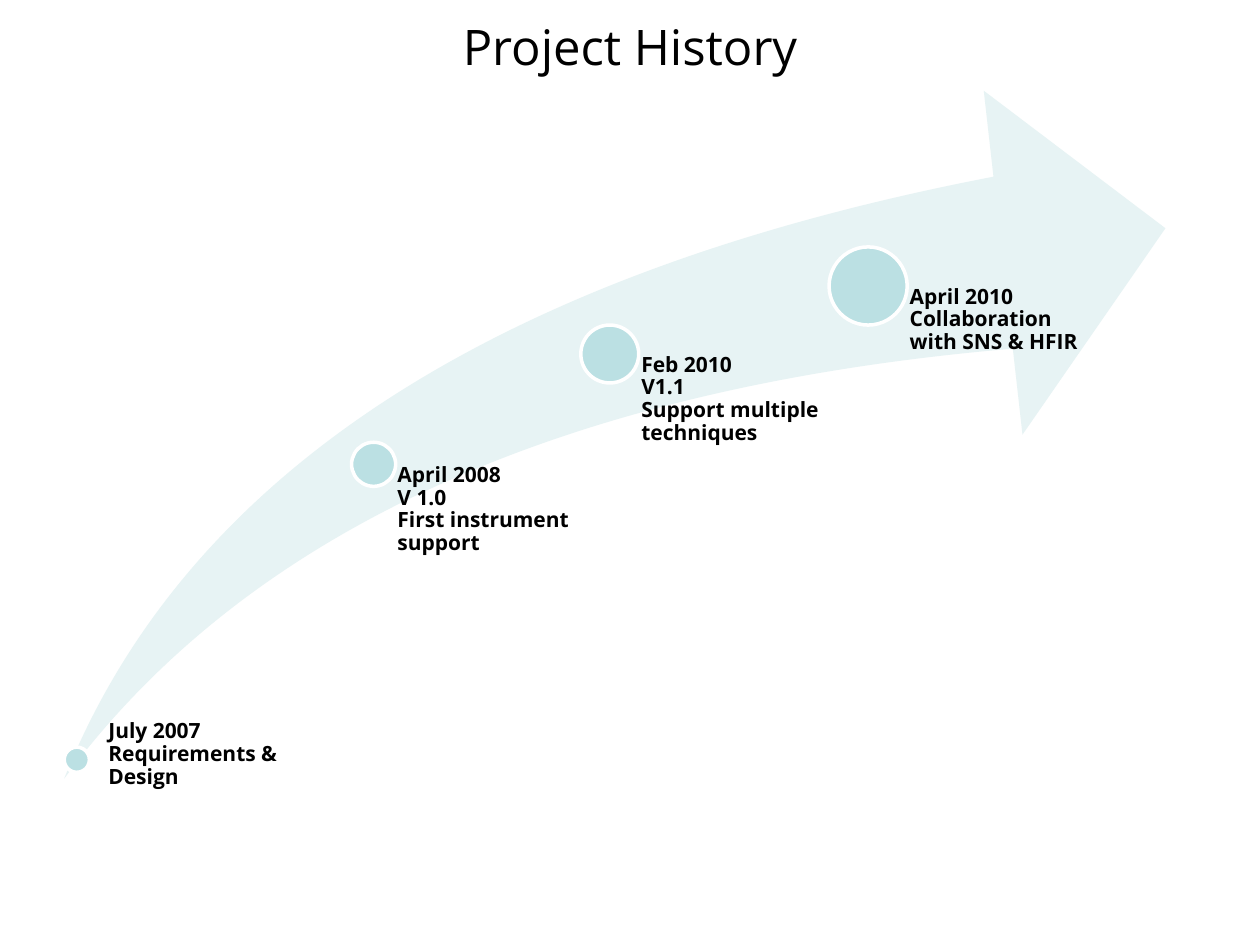
import pptx
import pptx.util
import pptx.dml.color
import pptx.enum.shapes
import pptx.enum.text

COLUMNS, ROWS = 100, 75
CELL = pptx.util.Inches(0.1)
FONT = "Open Sans"
BASELINE_ROW = 61.9

# Each milestone: dot centre column and row, dot diameter, label inset, text
MILESTONES = [
    (29.65, 36.85, 3.5, 1.9, "April 2008\vV 1.0\vFirst instrument support"),
    (48.4, 28.1, 4.6, 2.5, "Feb 2010\vV1.1\vSupport multiple techniques"),
    (68.9, 22.7, 6.2, 3.3, "April 2010\vCollaboration with SNS & HFIR"),
]


def cells(*counts):
    """Turn counts of grid cells into lengths."""
    return [round(count * CELL) for count in counts]


def color(value):
    """Turn a hex string into a colour."""
    return pptx.dml.color.RGBColor.from_string(value)


def write(tf, text, size=12, bold=False, align=None, spacing=None, after=None, inset=None):
    """Fill a text frame with one formatted, top-anchored paragraph."""
    tf.word_wrap = True
    tf.auto_size = pptx.enum.text.MSO_AUTO_SIZE.NONE
    tf.vertical_anchor = pptx.enum.text.MSO_ANCHOR.TOP
    if inset is not None:
        tf.margin_left = cells(inset)[0]
        tf.margin_top = tf.margin_right = tf.margin_bottom = 0
    p = tf.paragraphs[0]
    p.text = text
    p.alignment, p.line_spacing, p.space_after = align, spacing, after
    for r in p.runs:
        r.font.name, r.font.size, r.font.bold = FONT, pptx.util.Pt(size), bold
        r.font.color.rgb = color("000000")


def add_title(s, text):
    """Place the slide title across the top."""
    sp = s.shapes.title
    sp.left, sp.top, sp.width, sp.height = cells(5, 0.8, COLUMNS - 10, 12.5)
    write(sp.text_frame, text, size=28, align=pptx.enum.text.PP_ALIGN.CENTER)


def add_filled(s, kind, box, fill, line=None):
    """Add a preset shape with a plain fill and an optional outline."""
    sp = s.shapes.add_shape(kind, *cells(*box))
    sp.shadow.inherit = False
    sp.fill.solid()
    sp.fill.fore_color.rgb = color(fill)
    if line:
        sp.line.color.rgb = color(line)
        sp.line.width = pptx.util.Pt(2)
    else:
        sp.line.fill.background()
    return sp


def add_dot(s, x, y, diameter):
    """Add a milestone dot around its centre."""
    box = (x - diameter / 2, y - diameter / 2, diameter, diameter)
    add_filled(s, pptx.enum.shapes.MSO_SHAPE.OVAL, box, "BBE0E3", "FFFFFF")


def add_label(s, box, inset, text):
    """Add a bold milestone label."""
    sp = s.shapes.add_textbox(*cells(*box))
    write(sp.text_frame, text, bold=True, spacing=0.9, after=pptx.util.Pt(4.2), inset=inset)


def main():
    """Build the project history slide."""
    prs = pptx.Presentation()
    prs.slide_width, prs.slide_height = cells(COLUMNS, ROWS)
    s = prs.slides.add_slide(prs.slide_layouts.get_by_name("Title Only"))
    add_title(s, "Project History")
    arrow = add_filled(s, pptx.enum.shapes.MSO_SHAPE.SWOOSH_ARROW, (5.1, 7.2, 87.4, 54.6), "E7F3F4")
    arrow.adjustments[0] = arrow.adjustments[1] = 0.25
    add_dot(s, 6.1, 60.3, 2)
    add_label(s, (7.5, 57.2, 18.1, 5.6), 1.1, "July 2007\vRequirements & Design")
    for x, y, diameter, inset, text in MILESTONES:
        add_dot(s, x, y, diameter)
        add_label(s, (x, y, 18.4, BASELINE_ROW - y), inset, text)
    prs.save("out.pptx")


if __name__ == "__main__":
    main()
